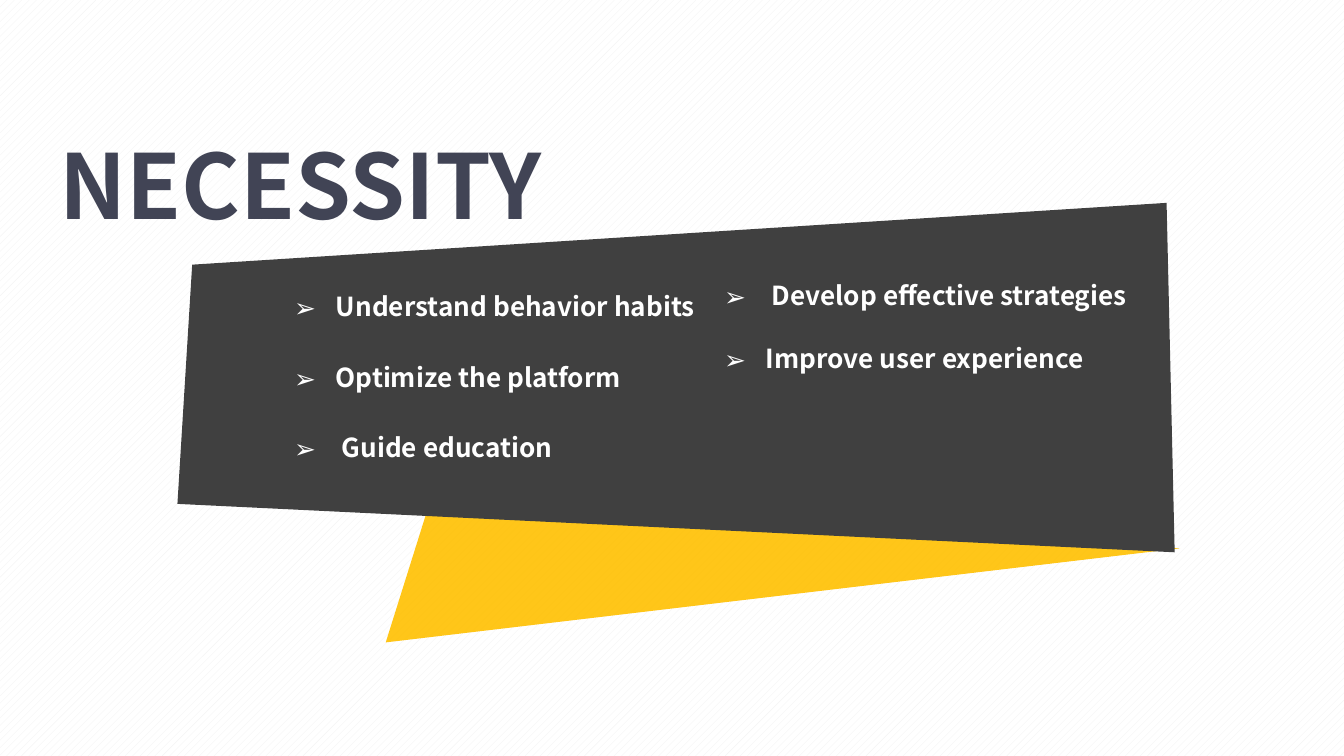
from lxml import etree
from pptx import Presentation
from pptx import util as u
from pptx.dml.color import RGBColor
from pptx.enum import dml, text
from pptx.oxml import ns

FONT = "Noto Sans CJK SC"
WHITE, INK, CHARCOAL, AMBER = "FFFFFF", "414455", "404040", "FFC000"

TITLE = "NECESSITY"
# Each column: left, width, then (top, wording) of its points
COLUMNS = [
    (2.09, 3.24, [(2.11, "Understand behavior habits"),
                  (2.64, "Optimize the platform"),
                  (3.16, " Guide education")]),
    (5.29, 3.3, [(2.03, " Develop effective strategies"),
                 (2.5, "Improve user experience")]),
]
RIBBON_FOLD = [(8.78, 4.08), (4.58, 3.79), (3.2, 3.73), (2.87, 4.78)]
PANEL = [(1.32, 3.75), (1.43, 1.97), (8.68, 1.51), (8.74, 4.11)]


def color(value):
    """Turn a hex string into a colour."""
    return RGBColor.from_string(value)


def add_polygon(slide, points, fill, opacity=100):
    """Draw a closed, borderless outline through points in inches."""
    corners = [(u.Inches(x), u.Inches(y)) for x, y in points]
    builder = slide.shapes.build_freeform(*corners[0])
    builder.add_line_segments(corners[1:], close=True)
    shape = builder.convert_to_shape()
    shape.shadow.inherit = False
    shape.fill.solid()
    shape.fill.fore_color.rgb = color(fill)
    shape.line.fill.background()
    if opacity < 100:
        tint = shape.fill._xPr.find(".//" + ns.qn("a:srgbClr"))
        etree.SubElement(tint, ns.qn("a:alpha"), val=str(opacity * 1000))


def set_text(shape, wording, size, ink):
    """Write one bold, unwrapped paragraph and return it."""
    frame = shape.text_frame
    frame.text = wording
    frame.word_wrap = False
    frame.auto_size = text.MSO_AUTO_SIZE.SHAPE_TO_FIT_TEXT
    frame.vertical_anchor = text.MSO_ANCHOR.TOP
    paragraph = frame.paragraphs[0]
    font = paragraph.font
    font.name, font.size, font.bold = FONT, u.Pt(size), True
    font.color.rgb = color(ink)
    return paragraph


def add_bullet(paragraph, indent):
    """Give a paragraph an arrowhead bullet with a hanging indent."""
    properties = paragraph._p.get_or_add_pPr()
    properties.set("marL", str(u.Inches(indent)))
    properties.set("indent", str(-u.Inches(indent)))
    properties.insert(0, etree.Element(ns.qn("a:buFont"), typeface=FONT))
    properties.insert(1, etree.Element(ns.qn("a:buChar"), char="➢"))


presentation = Presentation()
presentation.slide_width = u.Inches(10)
presentation.slide_height = u.Inches(10 * 9 / 16)
slide = presentation.slides.add_slide(presentation.slide_layouts[5])

background = slide.background.fill
background.patterned()
background.pattern = dml.MSO_PATTERN.WIDE_UPWARD_DIAGONAL
background.fore_color.rgb = color("F2F2F2")
background.back_color.rgb = color(WHITE)

add_polygon(slide, RIBBON_FOLD, AMBER, opacity=90)
add_polygon(slide, PANEL, CHARCOAL)

title = slide.shapes.title
title.left, title.top = u.Inches(0.3), u.Inches(0.92)
title.width, title.height = u.Inches(3.87), u.Inches(0.91)
set_text(title, TITLE, 48, INK).alignment = text.PP_ALIGN.CENTER

for left, width, points in COLUMNS:
    for top, wording in points:
        box = slide.shapes.add_textbox(
            u.Inches(left), u.Inches(top), u.Inches(width), u.Inches(0.34))
        add_bullet(set_text(box, wording, 14, WHITE), 0.31)

presentation.save("out.pptx")
